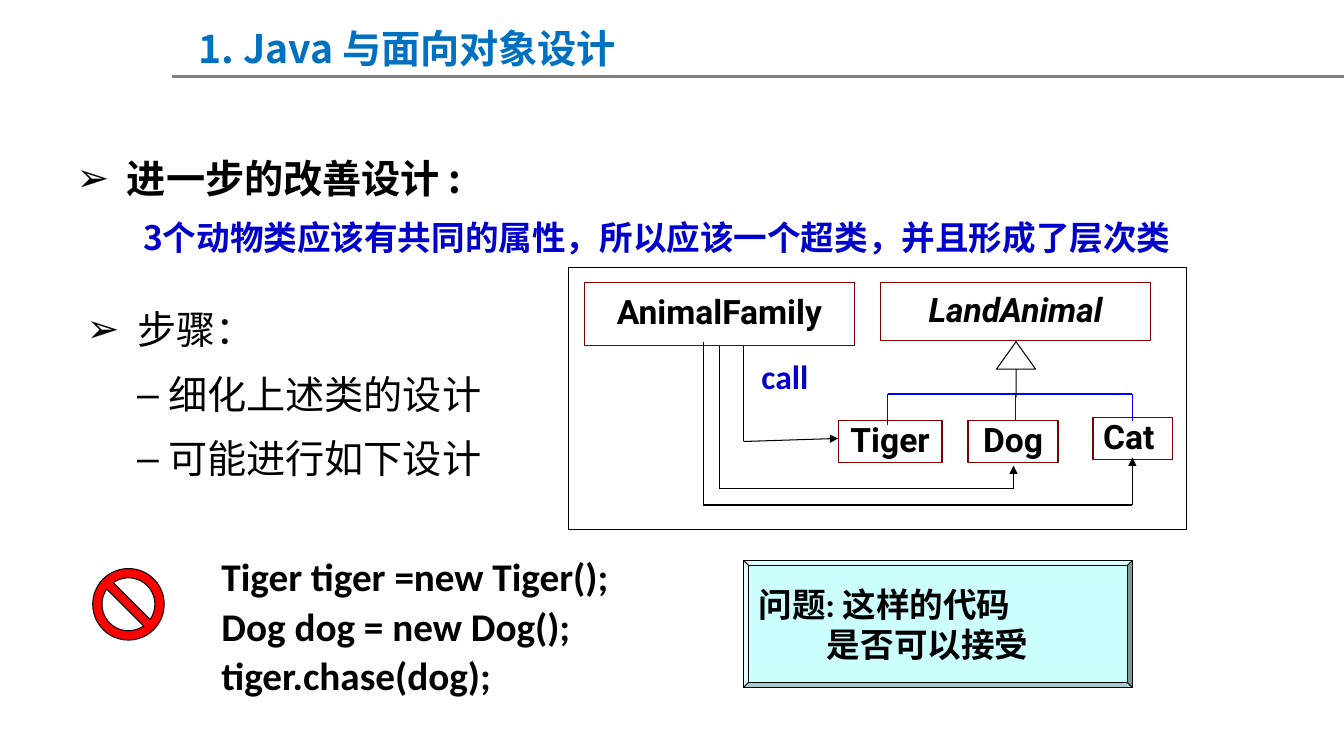
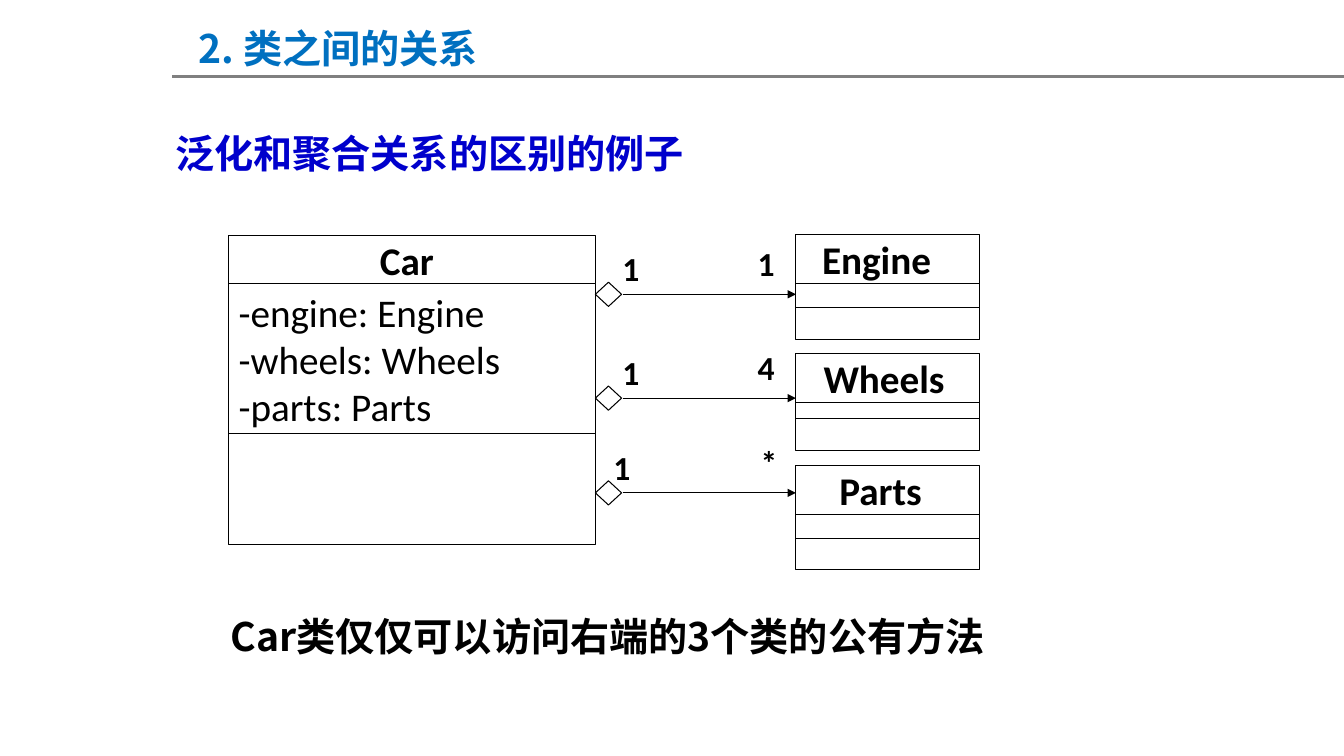
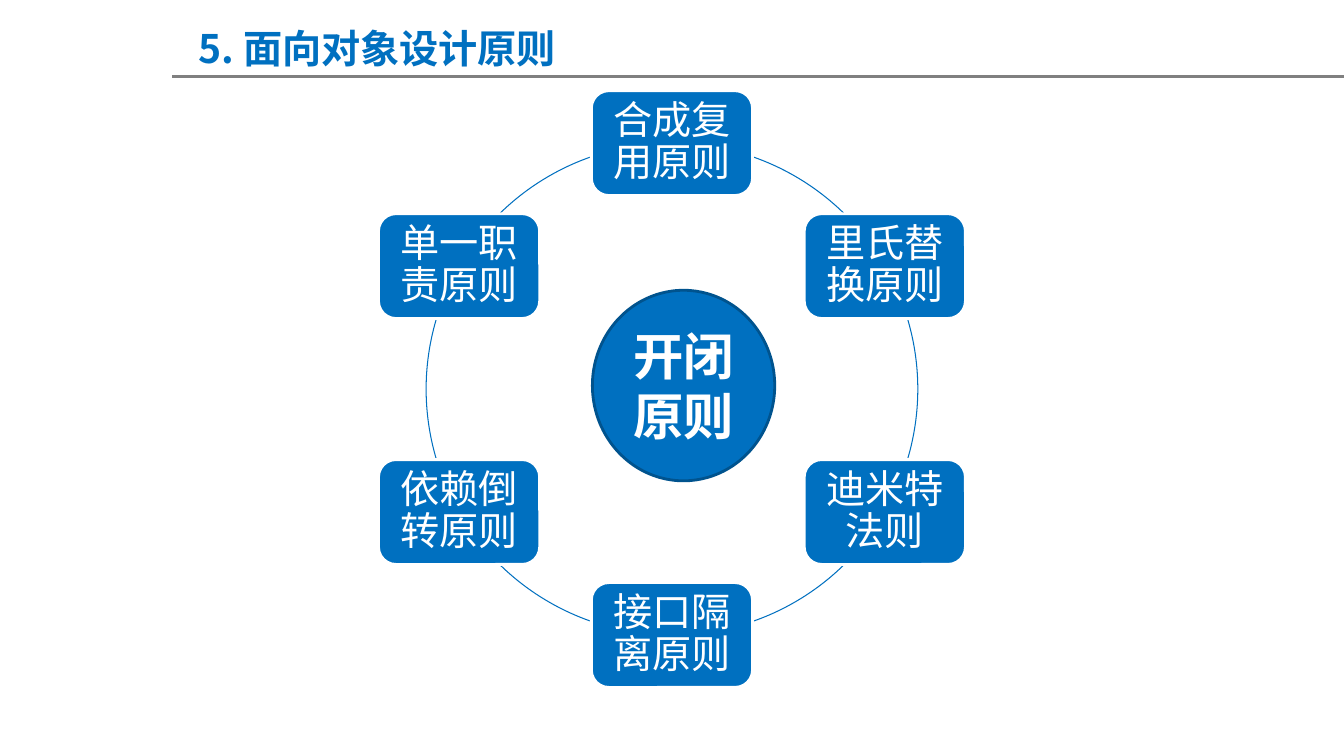
"""Builds three lecture slides on object-oriented design with class diagrams and a principle ring."""
import itertools
import math

import pptx
import pptx.dml.color
import pptx.enum.shapes
import pptx.enum.text
import pptx.oxml.ns
import pptx.util
from lxml import etree

Inches = pptx.util.Inches
Pt = pptx.util.Pt
RGBColor = pptx.dml.color.RGBColor
SHAPE = pptx.enum.shapes.MSO_SHAPE
ANCHOR = pptx.enum.text.MSO_ANCHOR
ALIGN = pptx.enum.text.PP_ALIGN
qn = pptx.oxml.ns.qn

BLACK = RGBColor(0x00, 0x00, 0x00)
WHITE = RGBColor(0xFF, 0xFF, 0xFF)
GRAY = RGBColor(0x80, 0x80, 0x80)
THEME_BLUE = RGBColor(0x00, 0x70, 0xC0)
DARK_BLUE = RGBColor(0x00, 0x53, 0x8E)
TEXT_BLUE = RGBColor(0x00, 0x00, 0xCC)
LINK_BLUE = RGBColor(0x00, 0x00, 0xFF)
MAROON = RGBColor(0x80, 0x00, 0x00)
RED = RGBColor(0xFF, 0x00, 0x00)
PALE_CYAN = RGBColor(0xCC, 0xFF, 0xFF)
CHINESE, LATIN, DIAGRAM = "Noto Sans CJK SC", "Calibri", "Roboto"
INSETS = (0.1, 0.05, 0.1, 0.05)

TITLES = ["1. Java 与面向对象设计", "2. 类之间的关系", "5. 面向对象设计原则"]
IMPROVEMENT = [
    ("进一步的改善设计 :", "➢", 0.5, -0.5, 28, BLACK),
    ("3个动物类应该有共同的属性，所以应该一个超类，并且形成了层次类", None, 1.08, -0.42, 24, TEXT_BLUE),
]
STEPS = [
    ("步骤：", "➢", 0.5, -0.5, 28, BLACK),
    ("细化上述类的设计", "–", 0.81, -0.31, 28, BLACK),
    ("可能进行如下设计", "–", 0.81, -0.31, 28, BLACK),
]
ANIMAL_CLASSES = [
    ("AnimalFamily", (5.8, 2.8, 2.68, 0.63), 0.1),
    ("LandAnimal", (8.74, 2.8, 2.68, 0.58), 0.1),
    ("Tiger", (8.32, 4.17, 1.03, 0.42), 0.1),
    ("Dog", (9.61, 4.17, 0.89, 0.42), 0.1),
    ("Cat", (10.85, 4.14, 0.79, 0.42), 0.18),
]
INHERITANCE = [
    [(8.81, 4.22), (8.81, 3.91), (11.24, 3.91), (11.24, 4.18)],
    [(10.08, 3.91), (10.08, 4.18)],
]
CALLS = [
    [(6.98, 3.39), (6.98, 5.01), (11.24, 5.01), (11.24, 4.54)],
    [(7.14, 3.43), (7.14, 4.85), (10.06, 4.85), (10.06, 4.62)],
    [(7.38, 3.43), (7.38, 4.38), (8.32, 4.35)],
]
CODE = ["Tiger tiger =new Tiger();", "Dog dog = new Dog();", "tiger.chase(dog);"]
QUESTION = ["问题: 这样的代码", "是否可以接受"]
CAR_FIELDS = ["-engine: Engine", "-wheels: Wheels", "-parts: Parts"]
PART_CLASSES = [
    ("Engine", 2.33, (0.48, 0.24, 0.32), 0.22),
    ("Wheels", 3.51, (0.48, 0.16, 0.32), 0.07),
    ("Parts", 4.62, (0.48, 0.24, 0.31), 0.14),
]
AGGREGATIONS = [
    ("1", 6.08, "1", 7.52, 2.92),
    ("1", 6.08, "4", 7.52, 3.95),
    ("1", 5.99, "*", 7.55, 4.89),
]
PRINCIPLES = ["合成复用原则", "里氏替换原则", "迪米特法则", "接口隔离原则", "依赖倒转原则", "单一职责原则"]
RING_X, RING_Y, RING_RADIUS = 6.67, 3.86, 2.44
ARC_SPANS = [(-70.75, -45.7), (-16.35, 16.35), (45.7, 70.75)]


def add_span(para, text, size, color=BLACK, font=LATIN, bold=False, italic=False):
    span = para.add_run()
    span.text = text
    span.font.size, span.font.bold, span.font.italic = Pt(size), bold, italic
    span.font.color.rgb = color
    span.font.name = font
    etree.SubElement(span.font._element, qn("a:ea"), typeface=font)


def set_frame(frame, anchor, insets=INSETS):
    frame.word_wrap = True
    frame.auto_size = pptx.enum.text.MSO_AUTO_SIZE.NONE
    frame.vertical_anchor = anchor
    frame.margin_left, frame.margin_top, frame.margin_right, frame.margin_bottom = map(Inches, insets)


def write(shape, lines, size, anchor=ANCHOR.TOP, insets=INSETS, align=ALIGN.LEFT, spacing=1.0, **style):
    frame = shape.text_frame
    set_frame(frame, anchor, insets)
    for index, line in enumerate(lines):
        para = frame.add_paragraph() if index else frame.paragraphs[0]
        para.alignment, para.line_spacing = align, spacing
        add_span(para, line, size, **style)


def place(shape, area):
    shape.left, shape.top, shape.width, shape.height = map(Inches, area)


def add_box(page, area, fill=WHITE, line=None, weight=0.75, kind=SHAPE.RECTANGLE):
    box = page.shapes.add_shape(kind, *map(Inches, area))
    box.shadow.inherit = False
    if fill is None:
        box.fill.background()
    else:
        box.fill.solid()
        box.fill.fore_color.rgb = fill
    if line is None:
        box.line.fill.background()
    else:
        box.line.color.rgb, box.line.width = line, Pt(weight)
    return box


def add_text(page, area, lines, size, **style):
    box = page.shapes.add_textbox(*map(Inches, area))
    write(box, lines, size, **style)


def add_line(page, start, end, color=BLACK, weight=0.75, arrow=False):
    line = page.shapes.add_connector(pptx.enum.shapes.MSO_CONNECTOR.STRAIGHT, *map(Inches, start + end))
    line.line.color.rgb, line.line.width = color, Pt(weight)
    if arrow:
        etree.SubElement(line.line._get_or_add_ln(), qn("a:tailEnd"), type="triangle")
    etree.SubElement(line.element.spPr, qn("a:effectLst"))
    return line


def add_route(page, points, color=BLACK, weight=0.75, arrow=False):
    for start, end in itertools.pairwise(points):
        add_line(page, start, end, color, weight, arrow and end == points[-1])


def fill_list(body, area, items, bold):
    place(body, area)
    frame = body.text_frame
    set_frame(frame, ANCHOR.TOP)
    for index, (text, bullet, margin, indent, size, color) in enumerate(items):
        para = frame.add_paragraph() if index else frame.paragraphs[0]
        para.level = min(index, 1)
        properties = para._p.get_or_add_pPr()
        properties.set("marL", str(Inches(margin)))
        properties.set("indent", str(Inches(indent)))
        if bullet:
            etree.SubElement(properties, qn("a:buChar"), char=bullet)
        else:
            etree.SubElement(properties, qn("a:buNone"))
        para.line_spacing = 1.2
        para.space_before = Pt(size * 0.2 if index else 0)
        add_span(para, text, size, color, CHINESE, bold)


def start_page(deck, layout, title):
    page = deck.slides.add_slide(deck.slide_layouts.get_by_name(layout))
    write(page.shapes.title, [title], 28, color=THEME_BLUE, font=CHINESE, bold=True)
    return page


def set_master(deck, page):
    master = deck.slide_master
    place(master.placeholders[0], (1.87, 0.19, 6.85, 0.57))
    rule = add_line(page, (1.71, 0.76), (13.34, 0.76), GRAY, 2)
    rule.element.nvCxnSpPr.cNvPr.id = 20
    master.element.cSld.spTree.append(rule.element)


def build_design(page):
    improvement, steps = list(page.placeholders)[1:]
    fill_list(improvement, (0.66, 1.39, 11.36, 1.16), IMPROVEMENT, True)
    fill_list(steps, (0.76, 2.89, 4.8, 1.89), STEPS, False)

    add_box(page, (5.64, 2.65, 6.14, 2.6), line=BLACK)
    for name, area, right in ANIMAL_CLASSES:
        box = add_box(page, area, line=MAROON, weight=1)
        write(box, [name], 24, ANCHOR.MIDDLE, (0.1, 0.05, right, 0.05), ALIGN.CENTER, 0.9,
              font=DIAGRAM, bold=True, italic=name == "LandAnimal")
    for points in INHERITANCE:
        add_route(page, points, LINK_BLUE, 1)
    arrow = add_box(page, (9.89, 3.39, 0.39, 0.55), line=BLACK, kind=SHAPE.UP_ARROW)
    arrow.adjustments[0], arrow.adjustments[1] = 0, 0.7
    for points in CALLS:
        add_route(page, points, arrow=True)
    write(add_box(page, (7.46, 3.48, 0.79, 0.5)), ["call"], 24, color=TEXT_BLUE, bold=True)

    add_text(page, (2.1, 5.41, 4.1, 1.57), CODE, 28, spacing=1.05, bold=True)
    question = add_box(page, (7.38, 5.56, 3.86, 1.26), PALE_CYAN, BLACK, kind=SHAPE.BEVEL)
    question.adjustments[0] = 0.04
    write(question, QUESTION, 24, ANCHOR.MIDDLE, bold=True)
    question.text_frame.paragraphs[1]._p.get_or_add_pPr().set("marL", str(Inches(0.68)))
    sign = add_box(page, (0.92, 5.64, 0.71, 0.71), RED, BLACK, kind=SHAPE.NO_SYMBOL)
    sign.adjustments[0] = 0.13


def build_relations(page):
    add_text(page, (1.64, 1.23, 5.51, 0.57), ["泛化和聚合关系的区别的例子"], 28,
             color=TEXT_BLUE, font=CHINESE, bold=True)
    add_text(page, (2.19, 6.03, 7.71, 1.04), ["Car类仅仅可以访问右端的3个类的公有方法"], 28,
             font=CHINESE, bold=True)

    name, fields, _ = [add_box(page, (2.27, top, 3.64, height), line=BLACK)
                       for top, height in [(2.34, 0.47), (2.81, 1.5), (4.3, 1.1)]]
    write(name, ["Car"], 28, ANCHOR.MIDDLE, (0.1, 0.05, 0.2, 0.05), ALIGN.CENTER, bold=True)
    write(fields, CAR_FIELDS, 28, ANCHOR.MIDDLE)

    for part, top, heights, right in PART_CLASSES:
        tops = itertools.accumulate(heights, initial=top)
        rows = [add_box(page, (7.9, y, 1.82, height), line=BLACK) for y, height in zip(tops, heights)]
        write(rows[0], [part], 28, ANCHOR.MIDDLE, (0, 0, right, 0), ALIGN.CENTER, bold=True)

    for near, near_x, far, far_x, y in AGGREGATIONS:
        add_line(page, (6.18, y), (7.9, y), arrow=True)
        write(add_box(page, (near_x, y - 0.51, 0.48, 0.47)), [near], 24, bold=True)
        write(add_box(page, (far_x, y - 0.51, 0.24, 0.37)), [far], 24, insets=(0, 0, 0, 0), bold=True)
        add_box(page, (5.91, y - 0.12, 0.26, 0.24), line=BLACK, kind=SHAPE.DIAMOND)


def build_principles(page):
    diameter = 2 * RING_RADIUS
    ring = (RING_X - RING_RADIUS, RING_Y - RING_RADIUS, diameter, diameter)
    for turn, span in itertools.product((0, 180), ARC_SPANS):
        arc = add_box(page, ring, None, THEME_BLUE, kind=SHAPE.ARC)
        for index, angle in enumerate(span):
            arc.adjustments[index] = (angle + turn) % 360 * 0.6

    width, height = 1.6, 1.04
    for index, principle in enumerate(PRINCIPLES):
        angle = math.tau * index / len(PRINCIPLES)
        left = RING_X + RING_RADIUS * math.sin(angle) - width / 2
        top = RING_Y - RING_RADIUS * math.cos(angle) - height / 2
        box = add_box(page, (left, top, width, height), THEME_BLUE, WHITE, 2, SHAPE.ROUNDED_RECTANGLE)
        write(box, [principle], 28, ANCHOR.MIDDLE, (0.12,) * 4, ALIGN.CENTER, 0.9, color=WHITE, font=CHINESE)

    core = add_box(page, (5.88, 2.88, 1.81, 1.89), THEME_BLUE, DARK_BLUE, 2, SHAPE.OVAL)
    write(core, ["开闭原则"], 36, ANCHOR.MIDDLE, align=ALIGN.CENTER, color=WHITE, font=CHINESE, bold=True)


def main():
    deck = pptx.Presentation()
    deck.slide_width, deck.slide_height = Inches(13.34), Inches(7.5)
    layouts = ["Two Content", "Title Only", "Title Only"]
    pages = [start_page(deck, layout, title) for layout, title in zip(layouts, TITLES)]
    set_master(deck, pages[0])
    for build, page in zip([build_design, build_relations, build_principles], pages):
        build(page)
    deck.save("out.pptx")


if __name__ == "__main__":
    main()
